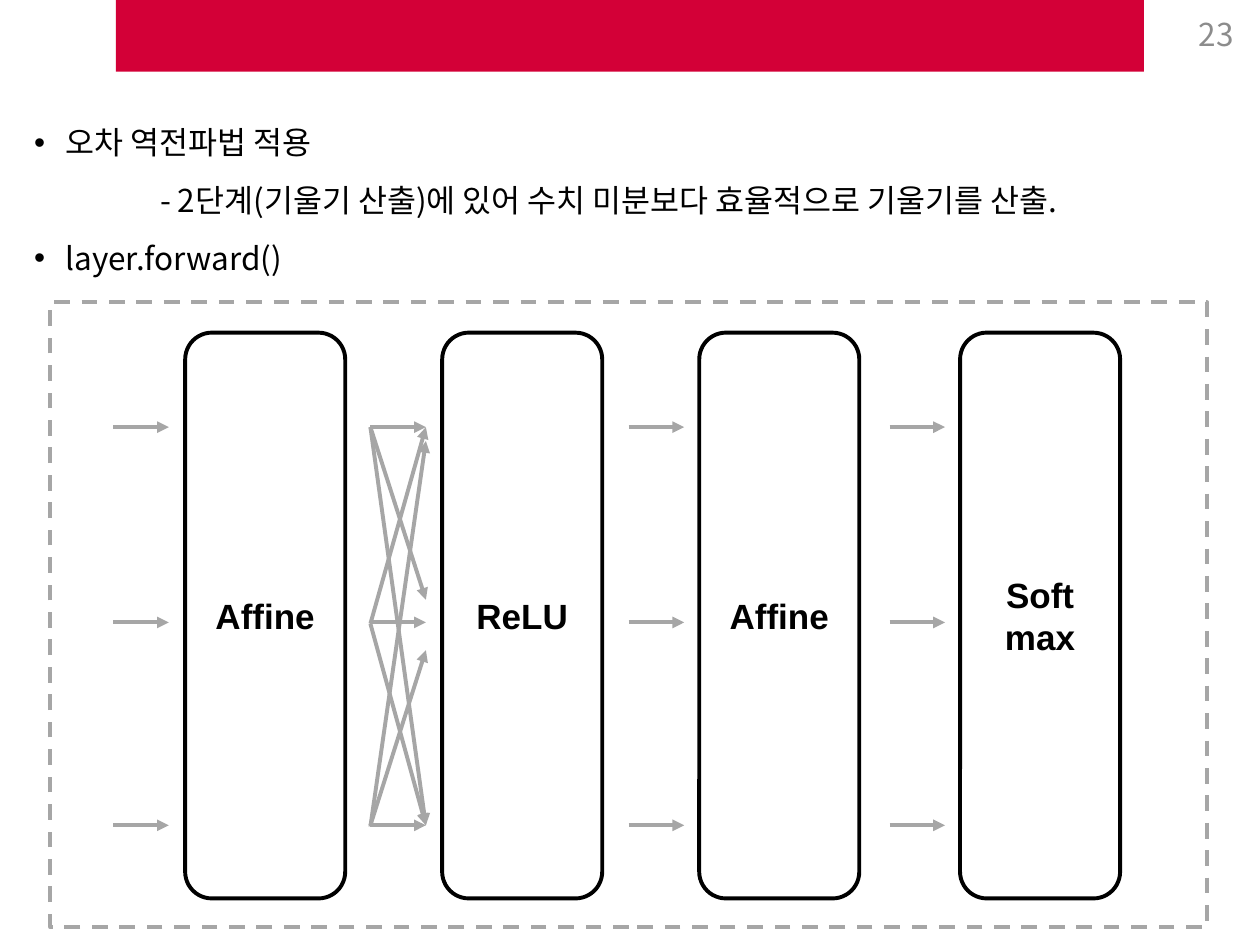
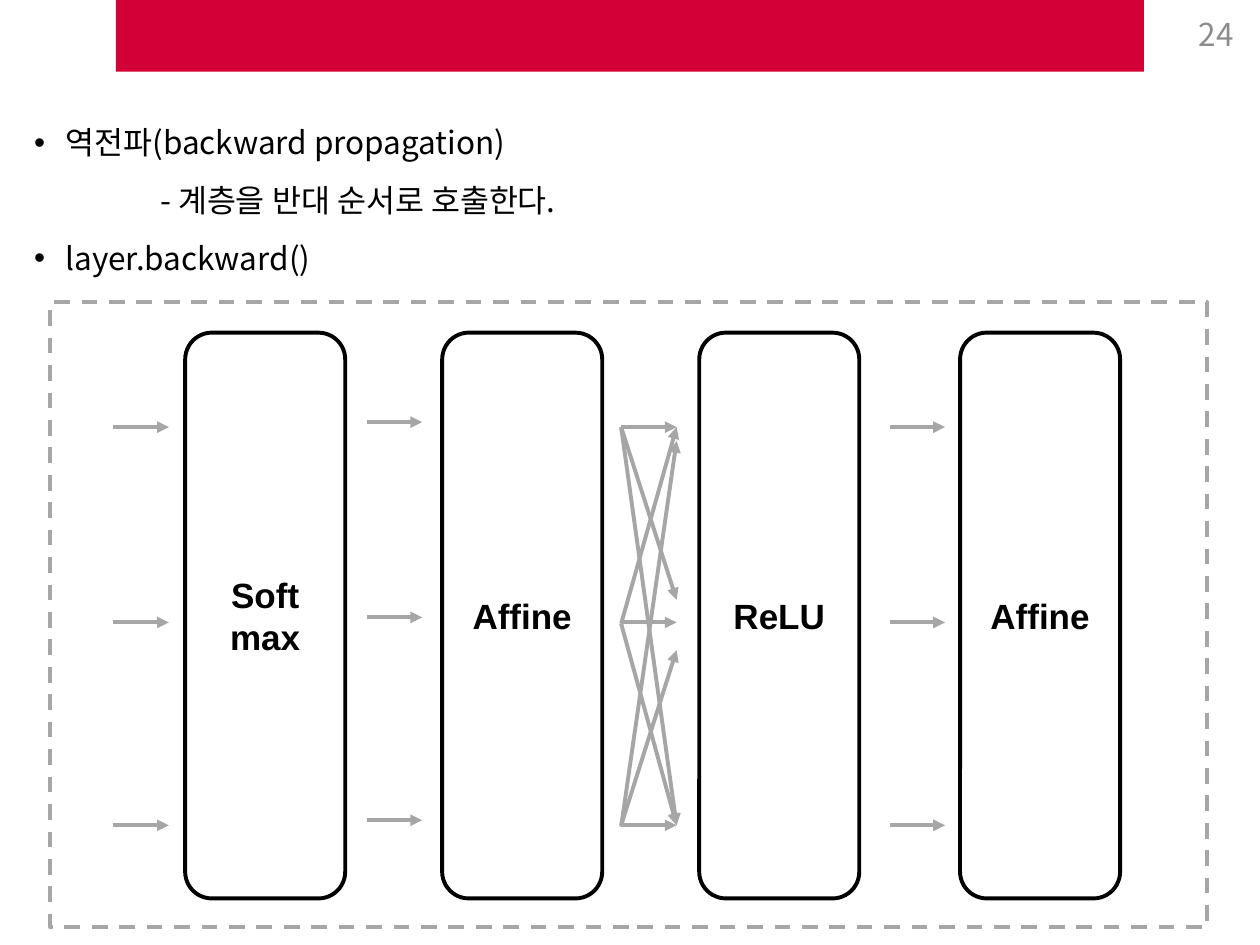
"""Build two slides that show a network's forward and backward passes."""
from typing import NamedTuple

from lxml import etree
from pptx import Presentation
from pptx import util as u
from pptx.dml.color import RGBColor
from pptx.enum import dml, shapes, text
from pptx.oxml import ns

PX = 9144
RED, GRAY, PALE, BLACK, WHITE = "D30037", "A6A6A6", "8C8C8C", "000000", "FFFFFF"
SANS, BODY = "Arial", "Noto Sans CJK KR"
ROWS = (339, 494, 655)
CROSS = ((339, 476), (339, 655), (495, 339), (495, 655), (656, 350), (655, 516))
REACH = 44


class Box(NamedTuple):
    left: int
    top: int
    width: int
    height: int


class Flow(NamedTuple):
    left: int
    shift: int = 0
    full: bool = False


class Page(NamedTuple):
    number: int
    head: str
    note: str
    call: str
    layers: tuple[str, ...]
    flows: tuple[Flow, ...]


BAND = Box(92, 0, 816, 57)
NOTES = Box(23, 85, 951, 140)
FRAME = Box(40, 240, 918, 496)
COUNT = Box(893, 7, 96, 40)
LAYERS = [Box(left, 264, 127, 449) for left in (147, 351, 555, 762)]

PAGES = (
    Page(23, "오차 역전파법 적용",
         "- 2단계(기울기 산출)에 있어 수치 미분보다 효율적으로 기울기를 산출.",
         "layer.forward()", ("Affine", "ReLU", "Affine", "Soft\nmax"),
         (Flow(90), Flow(294, full=True), Flow(499), Flow(706))),
    Page(24, "역전파(backward propagation)", "- 계층을 반대 순서로 호출한다.",
         "layer.backward()", ("Soft\nmax", "Affine", "ReLU", "Affine"),
         (Flow(90), Flow(291, shift=-4), Flow(493, full=True), Flow(706))),
)


def emu(px: int) -> u.Emu:
    """Turn px into EMU."""
    return u.Emu(px * PX)


def paint(item, color: str) -> None:
    """Give a fill or a line one solid colour."""
    item.fill.solid()
    item.fill.fore_color.rgb = RGBColor.from_string(color)


def write(par, words: str, *, size: int, font: str, color: str, bold: bool = False,
          align=None) -> None:
    """Add one run of formatted text to a paragraph."""
    run = par.add_run()
    run.text = words
    run.font.size, run.font.name, run.font.bold = u.Pt(size), font, bold
    run.font.color.rgb = RGBColor.from_string(color)
    east = etree.SubElement(run.font._element, ns.qn("a:ea"))
    east.set("typeface", font)
    if align is not None:
        par.alignment = align


def lines(frame, count: int) -> list:
    """Return the wanted number of paragraphs of a text frame."""
    for _ in range(count - 1):
        frame.add_paragraph()
    return list(frame.paragraphs)


def block(slide, box: Box, kind, fill: str = "", edge: str = ""):
    """Draw a preset shape with an optional fill and edge."""
    shape = slide.shapes.add_shape(kind, *map(emu, box))
    shape.shadow.inherit = False
    if fill:
        paint(shape, fill)
    else:
        shape.fill.background()
    if edge:
        paint(shape.line, edge)
        shape.line.width = u.Pt(2.25)
    else:
        shape.line.fill.background()
    return shape


def layer(slide, box: Box, name: str) -> None:
    """Draw one named layer of the network."""
    shape = block(slide, box, shapes.MSO_SHAPE.ROUNDED_RECTANGLE, WHITE, BLACK)
    frame = shape.text_frame
    frame.vertical_anchor = text.MSO_ANCHOR.MIDDLE
    words = name.split("\n")
    for par, word in zip(lines(frame, len(words)), words):
        write(par, word, size=20, font=SANS, color=BLACK, bold=True,
              align=text.PP_ALIGN.CENTER)


def arrow(slide, left: int, start: int, end: int) -> None:
    """Draw one arrow across a gap between layers."""
    link = slide.shapes.add_connector(
        shapes.MSO_CONNECTOR.STRAIGHT, *map(emu, (left, start, left + REACH, end)))
    paint(link.line, GRAY)
    link.line.width = u.Pt(2.25)
    tip = etree.SubElement(link.line._get_or_add_ln(), ns.qn("a:tailEnd"))
    tip.set("type", "triangle")
    etree.SubElement(link._element.spPr, ns.qn("a:effectLst"))


def flow(slide, gap: Flow) -> None:
    """Draw all the arrows of one gap."""
    level = tuple((row + gap.shift, row + gap.shift) for row in ROWS)
    for start, end in level + (CROSS if gap.full else ()):
        arrow(slide, gap.left, start, end)


def notes(slide, page: Page) -> None:
    """Write the two bullets and the line under the first."""
    frame = slide.shapes.add_textbox(*map(emu, NOTES)).text_frame
    frame.word_wrap = True
    frame.auto_size = text.MSO_AUTO_SIZE.SHAPE_TO_FIT_TEXT
    frame.margin_left = frame.margin_right = emu(4)
    frame.margin_top = frame.margin_bottom = emu(4)
    rows = ((page.head, True), (page.note, False), (page.call, True))
    for par, (words, dot) in zip(lines(frame, len(rows)), rows):
        par.line_spacing, par.space_after = 1.3, u.Pt(5)
        props = par._p.get_or_add_pPr()
        props.set("marL", str(emu(25 if dot else 100)))
        props.set("indent", str(emu(-25 if dot else 0)))
        if dot:
            face = etree.SubElement(props, ns.qn("a:buFont"))
            face.set("typeface", SANS)
            etree.SubElement(props, ns.qn("a:buChar")).set("char", "•")
        write(par, words, size=18, font=BODY, color=BLACK)


def count(slide, number: int) -> None:
    """Write the page number at the top right."""
    frame = slide.shapes.add_textbox(*map(emu, COUNT)).text_frame
    frame.word_wrap = True
    frame.vertical_anchor = text.MSO_ANCHOR.MIDDLE
    write(frame.paragraphs[0], str(number), size=18, font=BODY, color=PALE,
          align=text.PP_ALIGN.RIGHT)


def build(deck, page: Page) -> None:
    """Add one slide to the deck."""
    slide = deck.slides.add_slide(deck.slide_layouts[6])
    block(slide, BAND, shapes.MSO_SHAPE.RECTANGLE, RED)
    notes(slide, page)
    frame = block(slide, FRAME, shapes.MSO_SHAPE.RECTANGLE, edge=GRAY)
    frame.line.dash_style = dml.MSO_LINE.DASH
    for box, name in zip(LAYERS, page.layers):
        layer(slide, box, name)
    for gap in page.flows:
        flow(slide, gap)
    count(slide, page.number)


def main() -> None:
    """Build and save the deck."""
    deck = Presentation()
    deck.slide_width, deck.slide_height = emu(1000), emu(750)
    for page in PAGES:
        build(deck, page)
    deck.save("out.pptx")


if __name__ == "__main__":
    main()
